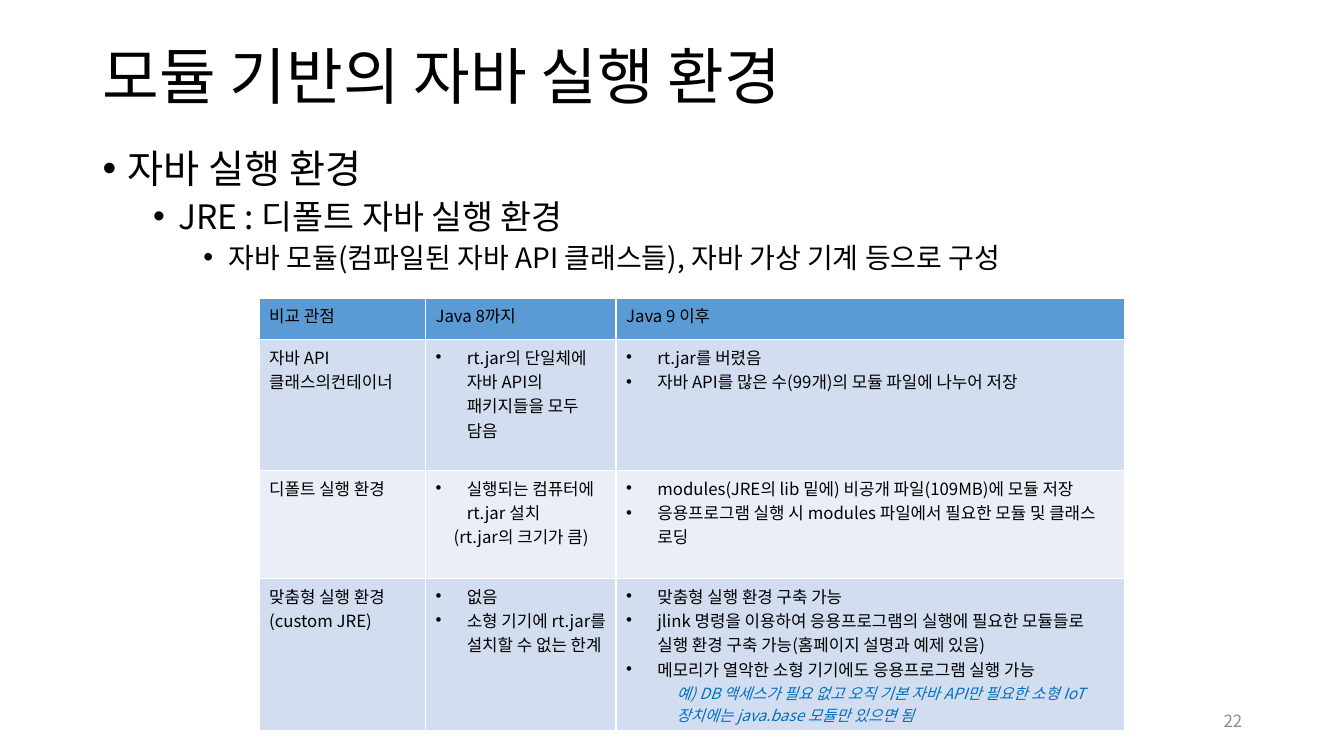
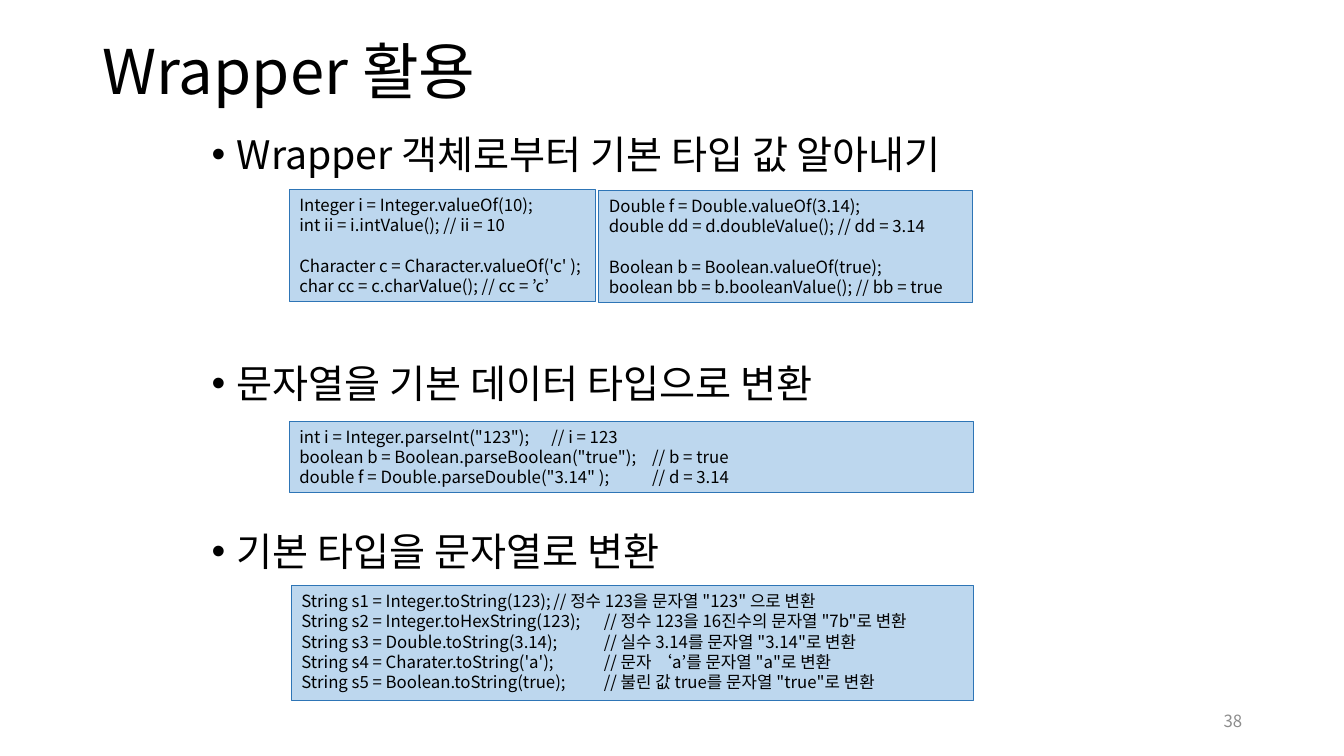
"""Build two Korean lecture slides on the Java runtime and wrapper classes."""
from dataclasses import dataclass
from typing import Optional

from lxml import etree
from pptx import Presentation
from pptx.dml.color import RGBColor
from pptx.enum.shapes import MSO_SHAPE
from pptx.enum.text import MSO_ANCHOR, PP_ALIGN
from pptx.oxml.ns import qn
from pptx.util import Inches, Pt

RECT = MSO_SHAPE.RECTANGLE
TOP, MIDDLE = MSO_ANCHOR.TOP, MSO_ANCHOR.MIDDLE
LEFT, RIGHT = PP_ALIGN.LEFT, PP_ALIGN.RIGHT

FONT = "Noto Sans CJK KR"
BLACK, WHITE, GRAY, BLUE = "000000", "FFFFFF", "8C8C8C", "0070C0"
HEAD, BANDS = "5B9BD5", ("D2DEEF", "EAEFF7")
PANEL, EDGE = "BDD7EE", "2E75B6"
CODE_PITCH = 14.5


@dataclass
class Line:
    """One paragraph with its look."""
    text: str
    size: float = 12
    left: float = 0
    hang: float = 0
    gap: float = 0
    pitch: Optional[float] = None
    tab: float = 0
    color: str = BLACK
    slant: bool = False
    align: PP_ALIGN = LEFT


@dataclass
class Code:
    """One panel of code."""
    left: float
    top: float
    width: float
    height: float
    lines: list[str]
    tab: float = 0


def rgb(color: str) -> RGBColor:
    """Turn a hex string into a colour."""
    return RGBColor.from_string(color)


def write(frame, lines: list[Line]) -> None:
    """Fill a text frame with styled paragraphs."""
    frame.text = "\n".join(line.text for line in lines)
    for para, line in zip(frame.paragraphs, lines):
        props = para._p.get_or_add_pPr()
        props.set("marL", str(Inches(line.left)))
        props.set("indent", str(Inches(-line.hang)))
        if line.hang:
            etree.SubElement(props, qn("a:buFont"), typeface="Arial")
            etree.SubElement(props, qn("a:buChar"), char="•")
        if line.tab:
            stops = etree.SubElement(props, qn("a:tabLst"))
            etree.SubElement(stops, qn("a:tab"), pos=str(Inches(line.tab)), algn="l")
        para.alignment = line.align
        para.space_before = Pt(line.gap)
        if line.pitch:
            para.line_spacing = line.pitch if line.pitch < 2 else Pt(line.pitch)
        for run in para.runs:
            font = run.font
            font.size, font.name = Pt(line.size), FONT
            font.bold, font.italic = False, line.slant
            font.color.rgb = rgb(line.color)
            etree.SubElement(run._r.get_or_add_rPr(), qn("a:ea"), typeface=FONT)


def add_text(slide, left: float, top: float, width: float, height: float,
             lines: list[Line], anchor: MSO_ANCHOR = TOP) -> None:
    """Place a wrapping text box."""
    box = slide.shapes.add_textbox(Inches(left), Inches(top), Inches(width), Inches(height))
    frame = box.text_frame
    frame.word_wrap, frame.vertical_anchor = True, anchor
    write(frame, lines)


def add_page(deck, title: str, top: float, number: int):
    """Add a slide with its title and page number."""
    slide = deck.slides.add_slide(deck.slide_layouts[6])
    add_text(slide, 0.92, top, 11.5, 1.45, [Line(title, 44, pitch=0.9)], MIDDLE)
    add_text(slide, 9.42, 6.95, 3, 0.4,
             [Line(str(number), color=GRAY, align=RIGHT)], MIDDLE)
    return slide


def add_code(slide, code: Code) -> None:
    """Draw a code panel; an empty line becomes space before the next."""
    box = slide.shapes.add_shape(RECT, Inches(code.left), Inches(code.top),
                                 Inches(code.width), Inches(code.height))
    box.shadow.inherit = False
    box.fill.solid()
    box.fill.fore_color.rgb = rgb(PANEL)
    box.line.color.rgb, box.line.width = rgb(EDGE), Pt(0.75)
    frame = box.text_frame
    frame.word_wrap, frame.vertical_anchor = True, TOP
    lines, gap = [], 0
    for text in code.lines:
        if text:
            lines.append(Line(text, gap=gap, pitch=CODE_PITCH, tab=code.tab))
        gap = 0 if text else CODE_PITCH
    write(frame, lines)


def edge_cell(cell) -> None:
    """Give a cell thin white borders."""
    props = cell._tc.get_or_add_tcPr()
    for spot, side in enumerate(("a:lnL", "a:lnR", "a:lnT", "a:lnB")):
        line = etree.Element(qn(side), w=str(Pt(1)))
        fill = etree.SubElement(line, qn("a:solidFill"))
        etree.SubElement(fill, qn("a:srgbClr"), val=WHITE)
        props.insert(spot, line)


def add_grid(slide, left: float, top: float, cols: list[float],
             rows: list[float], cells: list[list[list[Line]]]) -> None:
    """Draw the banded table."""
    grid = slide.shapes.add_table(len(rows), len(cols), Inches(left), Inches(top),
                                  Inches(sum(cols)), Inches(sum(rows))).table
    grid.first_row = grid.horz_banding = False
    for col, width in zip(grid.columns, cols):
        col.width = Inches(width)
    for at, (row, height) in enumerate(zip(grid.rows, rows)):
        row.height = Inches(height)
        for cell, lines in zip(row.cells, cells[at]):
            cell.fill.solid()
            cell.fill.fore_color.rgb = rgb(BANDS[(at - 1) % 2] if at else HEAD)
            edge_cell(cell)
            write(cell.text_frame, lines)


def dots(*texts: str) -> list[Line]:
    """Make bulleted table lines."""
    return [Line(text, left=0.31, hang=0.31) for text in texts]


def point(text: str, level: int = 0, gap: float = 0) -> Line:
    """Make a body bullet for an outline level."""
    size, pitch = ((28, 30.5), (24, 26.5), (20, 22))[level]
    return Line(text, size, 0.25 + 0.5 * level, 0.25, gap, pitch)


CELLS = [
    [[Line("비교 관점")], [Line("Java 8까지")], [Line("Java 9 이후")]],
    [[Line("자바 API 클래스의컨테이너")],
     dots("rt.jar의 단일체에 자바 API의 패키지들을 모두 담음"),
     dots("rt.jar를 버렸음", "자바 API를 많은 수(99개)의 모듈 파일에 나누어 저장")],
    [[Line("디폴트 실행 환경")],
     dots("실행되는 컴퓨터에 rt.jar 설치") + [Line("(rt.jar의 크기가 큼)", left=0.18)],
     dots("modules(JRE의 lib 밑에) 비공개 파일(109MB)에 모듈 저장",
          "응용프로그램 실행 시 modules 파일에서 필요한 모듈 및 클래스 로딩")],
    [[Line("맞춤형 실행 환경(custom JRE)")],
     dots("없음", "소형 기기에 rt.jar를 설치할 수 없는 한계"),
     dots("맞춤형 실행 환경 구축 가능",
          "jlink 명령을 이용하여 응용프로그램의 실행에 필요한 모듈들로 "
          "실행 환경 구축 가능(홈페이지 설명과 예제 있음)",
          "메모리가 열악한 소형 기기에도 응용프로그램 실행 가능")
     + [Line("예) DB 액세스가 필요 없고 오직 기본 자바 API만 필요한 소형 "
             "IoT 장치에는 java.base 모듈만 있으면 됨",
             11, left=0.5, color=BLUE, slant=True)]],
]

CODES = [
    Code(2.87, 1.88, 3.04, 1.11, [
        "Integer i = Integer.valueOf(10);",
        "int ii = i.intValue(); // ii = 10",
        "",
        "Character c = Character.valueOf('c' );",
        "char cc = c.charValue(); // cc = ’c’"]),
    Code(5.94, 1.89, 3.71, 1.11, [
        "Double f = Double.valueOf(3.14);",
        "double dd = d.doubleValue(); // dd = 3.14",
        "",
        "Boolean b = Boolean.valueOf(true);",
        "boolean bb = b.booleanValue(); // bb = true"]),
    Code(2.87, 4.18, 6.79, 0.71, [
        'int i = Integer.parseInt("123");\t// i = 123',
        'boolean b = Boolean.parseBoolean("true");\t// b = true',
        'double f = Double.parseDouble("3.14" );\t// d = 3.14'], 4),
    Code(2.89, 5.81, 6.77, 1.14, [
        'String s1 = Integer.toString(123);\t// 정수 123을 문자열 "123" 으로 변환',
        'String s2 = Integer.toHexString(123);\t// 정수 123을 16진수의 문자열 "7b"로 변환',
        'String s3 = Double.toString(3.14);\t// 실수 3.14를 문자열 "3.14"로 변환',
        "String s4 = Charater.toString('a');\t// 문자 ‘a’를 문자열 \"a\"로 변환",
        'String s5 = Boolean.toString(true);\t// 불린 값 true를 문자열 "true"로 변환'], 3),
]


def main() -> None:
    """Build and save the deck."""
    deck = Presentation()
    deck.slide_width, deck.slide_height = Inches(13.33), Inches(7.5)

    slide = add_page(deck, "모듈 기반의 자바 실행 환경", 0.06, 22)
    add_text(slide, 0.92, 1.43, 11.5, 1.4, [
        point("자바 실행 환경"),
        point("JRE : 디폴트 자바 실행 환경", 1, 5),
        point("자바 모듈(컴파일된 자바 API 클래스들), 자바 가상 기계 등으로 구성", 2, 5)])
    add_grid(slide, 2.57, 2.96, [1.65, 1.89, 5.04], [0.41, 1.3, 1.07, 1.51], CELLS)

    slide = add_page(deck, "Wrapper 활용", 0.01, 38)
    add_text(slide, 2, 1.29, 8.92, 6.06, [
        point("Wrapper 객체로부터 기본 타입 값 알아내기"),
        point("문자열을 기본 데이터 타입으로 변환", gap=133),
        point("기본 타입을 문자열로 변환", gap=89.5)])
    for code in CODES:
        add_code(slide, code)

    deck.save("out.pptx")


if __name__ == "__main__":
    main()
